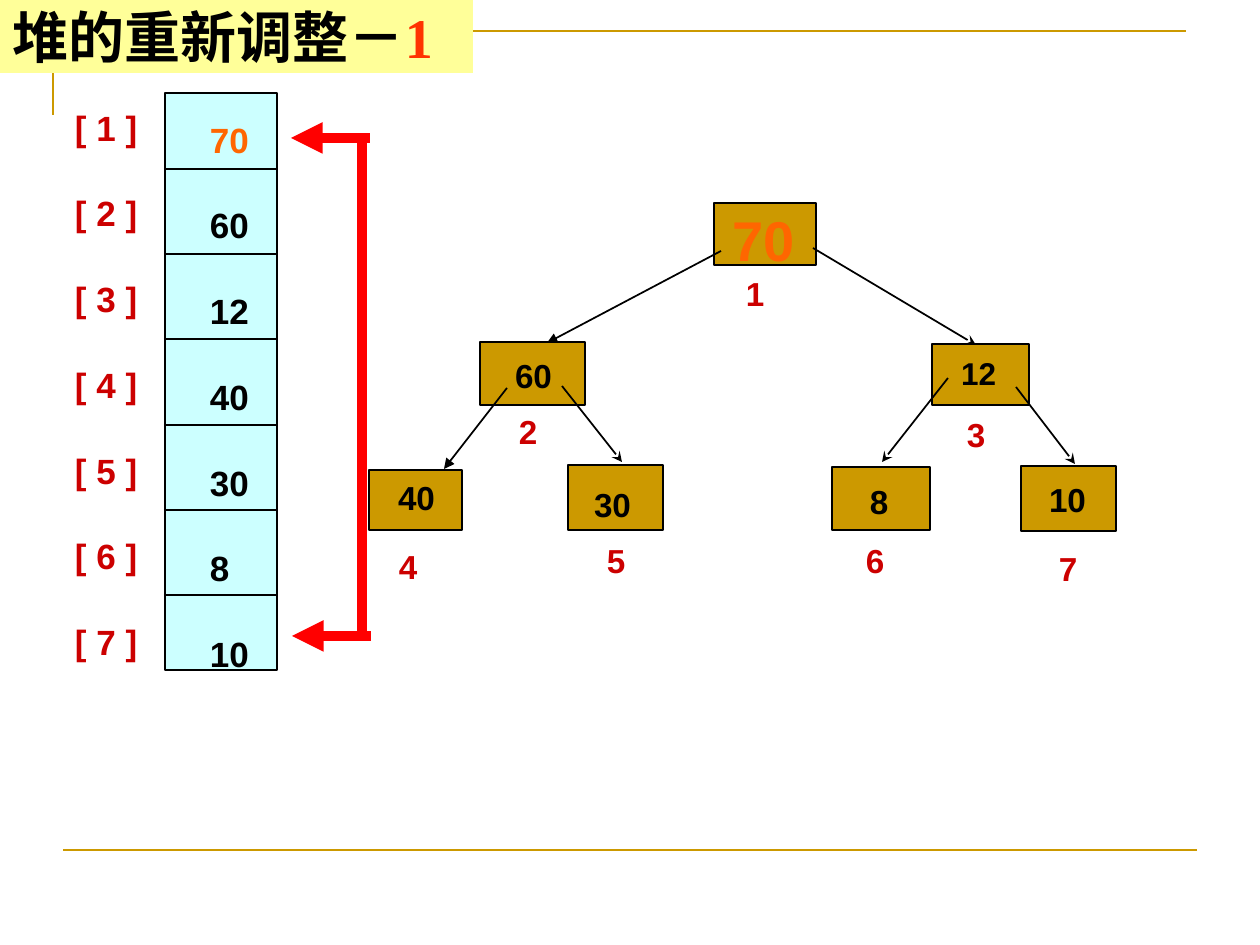
"""Build the heap readjustment slide: an array beside its binary tree."""
from dataclasses import dataclass

from lxml import etree
from pptx import Presentation
from pptx.dml.color import RGBColor
from pptx.enum.shapes import MSO_CONNECTOR, MSO_SHAPE
from pptx.enum.text import MSO_ANCHOR, PP_ALIGN
from pptx.oxml.ns import qn
from pptx.util import Emu, Pt

RECT = MSO_SHAPE.RECTANGLE
STRAIGHT = MSO_CONNECTOR.STRAIGHT
MIDDLE = MSO_ANCHOR.MIDDLE
LEFT = PP_ALIGN.LEFT
PX_PER_INCH = 126


@dataclass(frozen=True)
class Theme:
    gold: str = "CC9900"
    black: str = "000000"
    red: str = "FF0000"
    index: str = "CC0000"
    root: str = "FF6600"
    step: str = "FF3300"
    array: str = "CCFFFF"
    banner: str = "FFFF99"
    body_font: str = "Arial"
    title_font: str = "Times New Roman"
    title_size: int = 32
    array_size: int = 20
    array_gap: int = 25
    node_size: int = 19
    small_size: int = 18
    thin: float = 1
    rule: float = 1.5
    thick: float = 6


T = Theme()


@dataclass(frozen=True)
class Box:
    x: int
    y: int
    w: int
    h: int


@dataclass(frozen=True)
class Label:
    text: str
    x: int
    y: int
    color: str = T.black
    size: int = T.node_size


@dataclass(frozen=True)
class Node:
    box: Box
    value: Label
    index: Label


@dataclass(frozen=True)
class Line:
    x1: int
    y1: int
    x2: int
    y2: int
    color: str = T.black
    width: float = T.thin
    head: str = ""


NODES = [
    Node(Box(714, 203, 102, 62), Label("70", 722, 201, T.root, T.title_size),
         Label("1", 736, 268, T.index)),
    Node(Box(480, 342, 105, 63), Label("60", 505, 350), Label("2", 509, 406, T.index)),
    Node(Box(932, 344, 97, 61), Label("12", 951, 349, size=T.small_size),
         Label("3", 957, 409, T.index)),
    Node(Box(369, 470, 93, 60), Label("40", 388, 472), Label("4", 389, 541, T.index)),
    Node(Box(568, 465, 95, 65), Label("30", 584, 479), Label("5", 597, 535, T.index)),
    Node(Box(832, 467, 98, 63), Label("8", 860, 476), Label("6", 856, 535, T.index)),
    Node(Box(1021, 466, 95, 65), Label("10", 1039, 474), Label("7", 1049, 543, T.index)),
]
EDGES = [
    Line(547, 343, 721, 251, head="triangle"),
    Line(976, 345, 813, 248, head="stealth"),
    Line(444, 469, 507, 388, head="triangle"),
    Line(622, 462, 562, 386, head="stealth"),
    Line(882, 462, 948, 378, head="stealth"),
    Line(1075, 464, 1016, 387, head="stealth"),
]
SWAP = [
    Line(362, 142, 362, 635, T.red, T.thick),
    Line(291, 138, 370, 138, T.red, T.thick, "triangle"),
    Line(292, 636, 371, 636, T.red, T.thick, "triangle"),
]
ARRAY = Box(165, 93, 112, 577)
DIVIDERS = [Line(164, y, 277, y) for y in (169 + round(i * 85.2) for i in range(6))]


def px(n: float) -> Emu:
    """Turn pixels into EMU."""
    return Emu(round(n * 914400 / PX_PER_INCH))


def rgb(color: str) -> RGBColor:
    """Turn a hex string into a colour."""
    return RGBColor.from_string(color)


def style_font(font, size: int, color: str, name: str = T.body_font) -> None:
    """Set a bold font."""
    font.name, font.size, font.bold = name, Pt(size), True
    font.color.rgb = rgb(color)


def add_rect(slide, box: Box, fill: str, outline: bool = True):
    """Draw a filled rectangle."""
    sp = slide.shapes.add_shape(RECT, px(box.x), px(box.y), px(box.w), px(box.h))
    sp.shadow.inherit = False
    sp.fill.solid()
    sp.fill.fore_color.rgb = rgb(fill)
    if outline:
        sp.line.color.rgb = rgb(T.black)
        sp.line.width = Pt(T.thin)
    else:
        sp.line.fill.background()
    return sp


def add_line(slide, line: Line) -> None:
    """Draw a straight line, with its arrowhead at the first end."""
    cx = slide.shapes.add_connector(
        STRAIGHT, px(line.x1), px(line.y1), px(line.x2), px(line.y2))
    cx.line.color.rgb = rgb(line.color)
    cx.line.width = Pt(line.width)
    if line.head:
        etree.SubElement(cx.line._get_or_add_ln(), qn("a:headEnd"), type=line.head)
    etree.SubElement(cx._element.spPr, qn("a:effectLst"))


def add_text(slide, box: Box, lines: list[str], colors: list[str], size: int,
             inset: tuple[int, int], gap: int = 0) -> None:
    """Draw a column of text, one paragraph a line."""
    tf = slide.shapes.add_textbox(px(box.x), px(box.y), px(box.w), px(box.h)).text_frame
    tf.word_wrap = True
    tf.margin_left = tf.margin_right = px(inset[0])
    tf.margin_top = tf.margin_bottom = px(inset[1])
    for i, (text, color) in enumerate(zip(lines, colors)):
        p = tf.paragraphs[0] if i == 0 else tf.add_paragraph()
        p.text = text
        if i:
            p.space_before = Pt(gap)
        style_font(p.font, size, color)


def add_label(slide, label: Label) -> None:
    """Draw one tree label."""
    box = Box(label.x, label.y, 20 + label.size * len(label.text) + 12, label.size * 2 + 12)
    add_text(slide, box, [label.text], [label.color], label.size, (10, 5))


def add_rules(slide) -> None:
    """Draw the corner rule and the bottom rule."""
    fb = slide.shapes.build_freeform(px(53), px(115))
    fb.add_line_segments([(px(53), px(31)), (px(1186), px(31))], close=False)
    sp = fb.convert_to_shape()
    sp.shadow.inherit = False
    sp.fill.background()
    sp.line.color.rgb = rgb(T.gold)
    sp.line.width = Pt(T.rule)
    add_line(slide, Line(63, 850, 1197, 850, T.gold, T.rule))


def add_title(slide) -> None:
    """Draw the title banner."""
    tf = add_rect(slide, Box(0, 0, 473, 73), T.banner, outline=False).text_frame
    tf.vertical_anchor = MIDDLE
    tf.word_wrap = True
    p = tf.paragraphs[0]
    p.alignment = LEFT
    for text, color in (("堆的重新调整－", T.black), ("1", T.step)):
        r = p.add_run()
        r.text = text
        style_font(r.font, T.title_size, color, T.title_font)


def main() -> None:
    """Build and save the slide."""
    prs = Presentation()
    prs.slide_width, prs.slide_height = px(1260), px(945)
    slide = prs.slides.add_slide(prs.slide_layouts[6])
    add_rules(slide)
    for node in NODES:
        add_rect(slide, node.box, T.gold)
    add_rect(slide, ARRAY, T.array)
    for line in EDGES + DIVIDERS + SWAP:
        add_line(slide, line)
    for node in NODES:
        add_label(slide, node.value)
        add_label(slide, node.index)
    count = len(NODES)
    add_text(slide, Box(62, 100, 90, 560), [f"[ {i} ]" for i in range(1, count + 1)],
             [T.index] * count, T.array_size, (13, 6), T.array_gap)
    add_text(slide, Box(197, 112, 65, 560), [node.value.text for node in NODES],
             [T.root] + [T.black] * (count - 1), T.array_size, (13, 6), T.array_gap)
    add_title(slide)
    prs.save("out.pptx")


if __name__ == "__main__":
    main()
